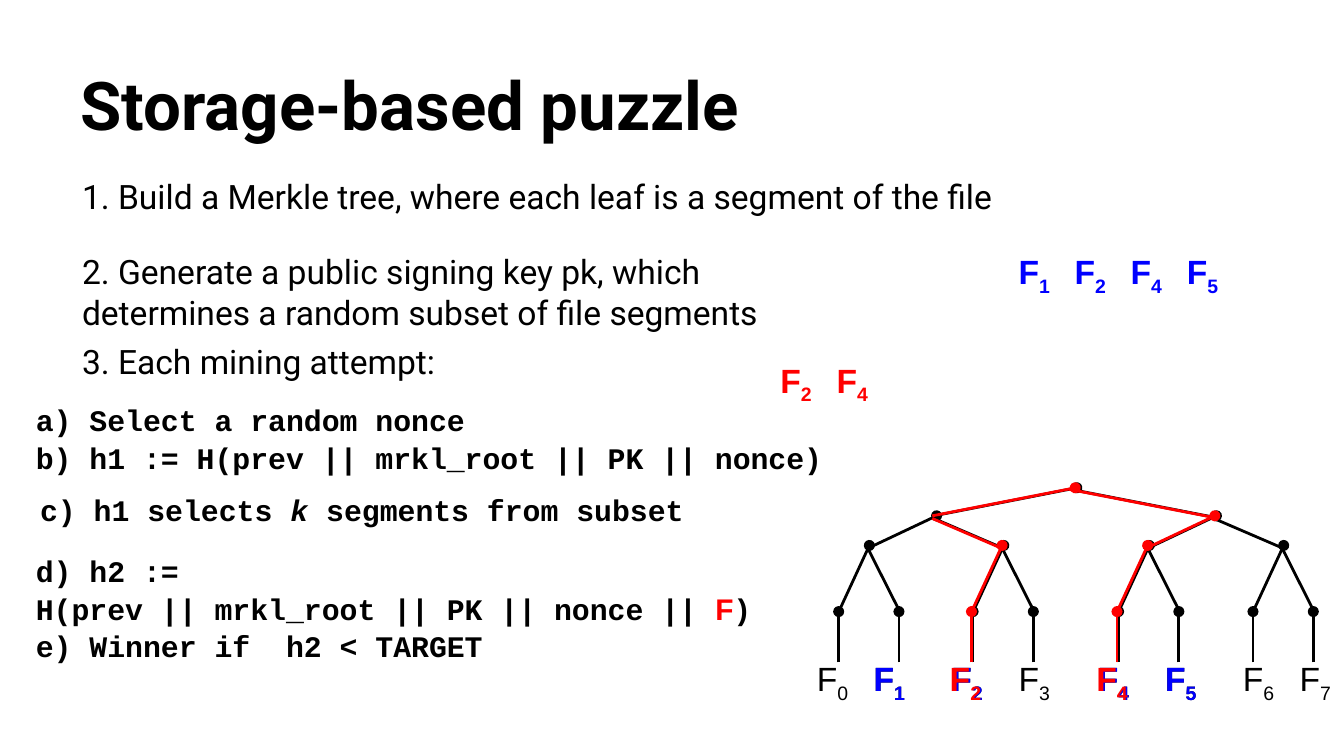
"""Build the slide on the storage-based puzzle."""
from lxml.etree import SubElement as Sub
from pptx import Presentation as Deck
from pptx.dml.color import RGBColor as Rgb
from pptx.enum.shapes import MSO_CONNECTOR as Line
from pptx.enum.text import MSO_ANCHOR as Anchor, MSO_AUTO_SIZE as Fit, PP_ALIGN as Align
from pptx.oxml.ns import qn
from pptx.util import Cm, Pt

HUES = {"black": "000000", "blue": "0000FF", "red": "FF0000"}
SANS, MONO, BODY = "Arial", "Courier New", "Roboto"


class Sheet:
    """Hold the style and the current slide."""

    def __init__(self, deck):
        self.page = deck.slides.add_slide(deck.slide_layouts[4])
        self.inset = Cm(0.25)

    def place(self, shape, box):
        """Move a shape to a box given in centimetres."""
        shape.left, shape.top, shape.width, shape.height = map(Cm, box)

    def frame(self, shape, anchor):
        """Set wrapping, insets and anchor of a text frame."""
        frame = shape.text_frame
        frame.word_wrap, frame.auto_size = True, Fit.NONE
        frame.margin_left = frame.margin_right = self.inset
        frame.margin_top = frame.margin_bottom = self.inset
        frame.vertical_anchor = anchor
        return frame

    def style(self, run, face, size, bold=False, hue="black"):
        """Set the font of one run."""
        font = run.font
        font.name, font.size, font.bold = face, Pt(size), bold
        font.color.rgb = Rgb.from_string(HUES[hue])

    def holder(self, slot, box, text, size, bold=False, anchor=Anchor.TOP):
        """Fill a placeholder of the layout."""
        shape = self.page.placeholders[slot]
        self.place(shape, box)
        frame = self.frame(shape, anchor)
        frame.text = text
        para = frame.paragraphs[0]
        props = para._p.get_or_add_pPr()
        props.set("marL", "0")
        props.set("indent", "0")
        Sub(props, qn("a:buNone"))
        para.alignment, para.space_before = Align.LEFT, Pt(0)
        self.style(para.runs[0], BODY, size, bold)

    def drop(self, slot):
        """Remove a placeholder that stays empty."""
        node = self.page.placeholders[slot]._element
        node.getparent().remove(node)

    def label(self, num, x, y, hue="black", bold=True):
        """Write the name of one file segment."""
        shape = self.page.shapes.add_textbox(Cm(x), Cm(y), Cm(1.63), Cm(1.27))
        para = self.frame(shape, Anchor.TOP).paragraphs[0]
        for text in ("F", str(num)):
            run = para.add_run()
            run.text = text
            self.style(run, SANS, 18, bold, hue)
        run.font._element.set("baseline", "-25000")

    def code(self, box, lines):
        """Write lines of code, each a list of text pieces."""
        shape = self.page.shapes.add_textbox(*map(Cm, box))
        frame = self.frame(shape, Anchor.MIDDLE)
        for row, parts in enumerate(lines):
            para = frame.add_paragraph() if row else frame.paragraphs[0]
            para.line_spacing = 1.05
            for text in parts:
                run = para.add_run()
                run.text = text
                mark = text == "F"
                self.style(run, SANS if mark else MONO, 16, True, "red" if mark else "black")
                run.font.italic = text == "k"

    def edge(self, ends, dot, hue="black", shift=0):
        """Draw one edge of the tree, with a dot at its end if asked."""
        x, y, to_x, to_y = ends
        link = self.page.shapes.add_connector(
            Line.STRAIGHT, Cm(x + shift), Cm(y), Cm(to_x + shift), Cm(to_y))
        link.line.width = Pt(1.5)
        link.line.color.rgb = Rgb.from_string(HUES[hue])
        if dot:
            Sub(link.line._get_or_add_ln(), qn("a:tailEnd"), type="oval")
        Sub(link._element.spPr, qn("a:effectLst"))


def tree():
    """Return the edges by level and index, each with its dot flag."""
    edges = {}
    for i, x in enumerate((16.43, 18.97, 21.72, 24.26)):
        edges["twig", 2 * i] = (x - 0.61, 11.63, x, 10.31), True
        edges["twig", 2 * i + 1] = (x + 0.61, 11.63, x - 0.03, 10.36), False
        edges["stem", 2 * i] = (x - 0.58, 12.52, x - 0.58, 11.56), True
        edges["stem", 2 * i + 1] = (x + 0.56, 12.52, x + 0.56, 11.56), True
    for i, x in enumerate((17.7, 22.99)):
        edges["limb", 2 * i] = (x - 1.29, 10.36, x, 9.75), True
        edges["limb", 2 * i + 1] = (x + 1.25, 10.36, x - 0.05, 9.8), False
    edges["root", 0] = (17.65, 9.75, 20.35, 9.22), True
    edges["root", 1] = (22.96, 9.78, 20.24, 9.25), False
    return edges


def main():
    """Build and save the deck."""
    deck = Deck()
    deck.slide_width, deck.slide_height = Cm(25.4), Cm(14.29)
    sheet = Sheet(deck)
    sheet.holder(0, (1.27, 0.58, 22.86, 2.39), "Storage-based puzzle", 36, True, Anchor.BOTTOM)
    steps = (
        ((1.3, 3.07, 19.48, 1.04),
         "1. Build a Merkle tree, where each leaf is a segment of the file"),
        ((1.3, 4.5, 14.53, 1.6),
         "2. Generate a public signing key pk, which determines a random subset of file segments"),
        ((1.3, 6.2, 14.78, 1.2), "3. Each mining attempt:"),
    )
    for slot, (box, text) in enumerate(steps, 1):
        sheet.holder(slot, box, text, 18)
    sheet.drop(4)

    subset, picks, gap, shift = (1, 2, 4, 5), (2, 4), 1.06, -0.03
    leaves, base = (15.19, 16.26, 17.73, 19, 20.5, 21.77, 23.24, 24.31), 12.19
    edges = tree()
    for ends, dot in edges.values():
        sheet.edge(ends, dot)
    for num, x in enumerate(leaves):
        sheet.label(num, x, base, bold=num in subset)
    for nums, left, top, hue in ((subset, 19, 4.5, "blue"), (picks, 14.5, 6.55, "red")):
        for i, num in enumerate(nums):
            sheet.label(num, left + i * gap, top, hue)
    for num in subset:
        sheet.label(num, leaves[num], base, "blue")
    proof = [(kind, num) for kind in ("twig", "stem") for num in picks]
    for key in proof + [("limb", 1), ("limb", 2), ("root", 0), ("root", 1)]:
        sheet.edge(*edges[key], "red", shift)
    for num in picks:
        sheet.label(num, leaves[num] + shift, base, "red")

    sheet.code((0.43, 10.36, 18.9, 2.24), (
        ["d) h2 :="],
        ["H(prev || mrkl_root || PK || nonce || ", "F", ")"],
        ["e) Winner if  h2 < TARGET"]))
    sheet.code((0.51, 9.09, 14.38, 1.04), (["c) h1 selects ", "k", " segments from subset"],))
    sheet.code((0.43, 7.42, 18.31, 1.7), (
        ["a) Select a random nonce"],
        ["b) h1 := H(prev || mrkl_root || PK || nonce)"]))
    deck.save("out.pptx")


if __name__ == "__main__":
    main()
